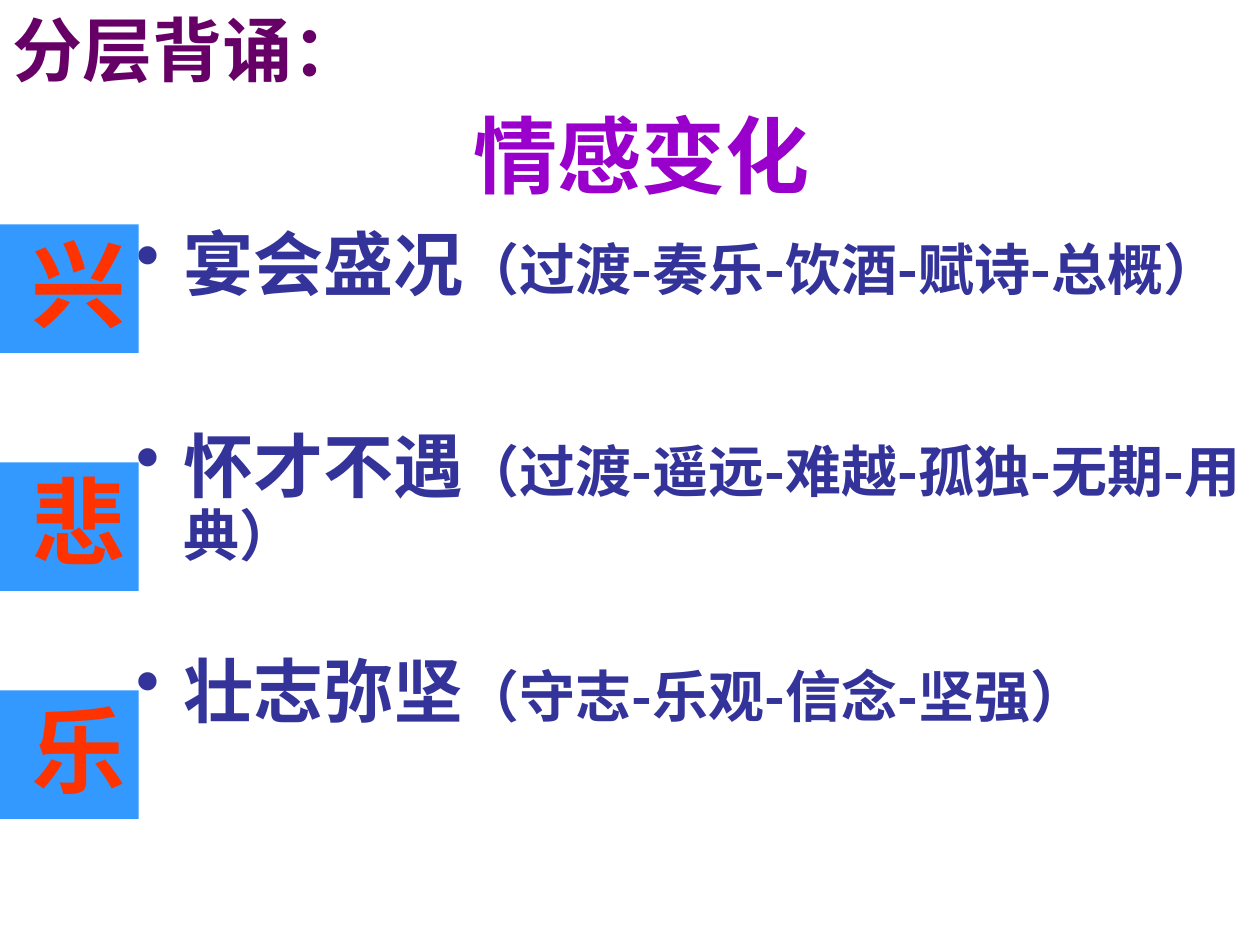
from lxml import etree
from pptx import Presentation
from pptx.dml.color import RGBColor
from pptx.enum.shapes import MSO_SHAPE
from pptx.enum.text import MSO_ANCHOR, PP_ALIGN
from pptx.oxml.ns import qn
from pptx.util import Inches, Pt

RECTANGLE = MSO_SHAPE.RECTANGLE
TOP, MIDDLE = MSO_ANCHOR.TOP, MSO_ANCHOR.MIDDLE
LEFT, CENTER = PP_ALIGN.LEFT, PP_ALIGN.CENTER
CJK_FONT = "Noto Sans CJK SC"


def color(hex_value):
    return RGBColor.from_string(hex_value)


class SlideBuilder:
    text_color = "333399"
    tile_color = "3399FF"
    mood_color = "FF3300"

    def __init__(self, slide):
        self.slide = slide

    def set_font(self, paragraph, name, hex_value, size=None):
        font = paragraph.font
        font.name, font.bold = name, True
        font.color.rgb = color(hex_value)
        if size:
            font.size = Pt(size)

    def text_frame(self, left, top, width, height, anchor=TOP):
        shape = self.slide.shapes.add_textbox(
            Inches(left), Inches(top), Inches(width), Inches(height))
        frame = shape.text_frame
        frame.word_wrap = True
        frame.vertical_anchor = anchor
        return frame

    def heading(self, text, box, size, font, hex_value, align=LEFT, anchor=TOP):
        paragraph = self.text_frame(*box, anchor).paragraphs[0]
        paragraph.text = text
        paragraph.alignment = align
        self.set_font(paragraph, font, hex_value, size)

    def add_bullet(self, paragraph):
        properties = paragraph._p.get_or_add_pPr()
        properties.set("marL", str(Inches(0.38)))
        properties.set("indent", str(-Inches(0.38)))
        bullet_color = etree.SubElement(properties, qn("a:buClr"))
        etree.SubElement(bullet_color, qn("a:srgbClr"), val=self.text_color)
        etree.SubElement(properties, qn("a:buChar"), char="•")

    def bullets(self, items, box):
        frame = self.text_frame(*box)
        for index, (topic, outline, space_before) in enumerate(items):
            paragraph = frame.add_paragraph() if index else frame.paragraphs[0]
            paragraph.line_spacing = 0.9
            paragraph.space_before = Pt(space_before)
            self.add_bullet(paragraph)
            self.set_font(paragraph, CJK_FONT, self.text_color)
            for text, size in ((topic, 40), (outline, 32)):
                run = paragraph.add_run()
                run.text = text
                run.font.size = Pt(size)

    def mood_tile(self, text, top):
        shape = self.slide.shapes.add_shape(
            RECTANGLE, 0, Inches(top), Inches(1.1), Inches(1.02))
        shape.shadow.inherit = False
        shape.fill.solid()
        shape.fill.fore_color.rgb = color(self.tile_color)
        shape.line.fill.background()
        frame = shape.text_frame
        frame.vertical_anchor = TOP
        frame.margin_left = frame.margin_right = Inches(0.05)
        frame.margin_top = frame.margin_bottom = Inches(0.1)
        frame._txBody.bodyPr.set("vert", "eaVert")
        paragraph = frame.paragraphs[0]
        paragraph.text = text
        paragraph.alignment = LEFT
        self.set_font(paragraph, "Times New Roman", self.mood_color, 54)


def main():
    presentation = Presentation()
    presentation.slide_width, presentation.slide_height = Inches(10), Inches(7.5)
    builder = SlideBuilder(
        presentation.slides.add_slide(presentation.slide_layouts[6]))

    # Title
    builder.heading("情感变化", (0.59, 0.6, 9, 1.25), 48, CJK_FONT, "9900CC",
                    CENTER, MIDDLE)

    # Sections of the text, with their outlines
    builder.bullets([
        ("宴会盛况", "（过渡-奏乐-饮酒-赋诗-总概）", 0),
        ("怀才不遇", "（过渡-遥远-难越-孤独-无期-用典）", 72),
        ("壮志弥坚", "（守志-乐观-信念-坚强）", 50.6),
    ], (0.98, 1.78, 9.02, 4.95))

    # Mood of each section
    for mood, top in (("兴", 1.78), ("悲", 3.67), ("乐", 5.48)):
        builder.mood_tile(mood, top)

    # Corner label
    builder.heading("分层背诵：", (0, 0, 2.87, 0.77), 40, "Arial", "660066")

    presentation.save("out.pptx")


if __name__ == "__main__":
    main()
